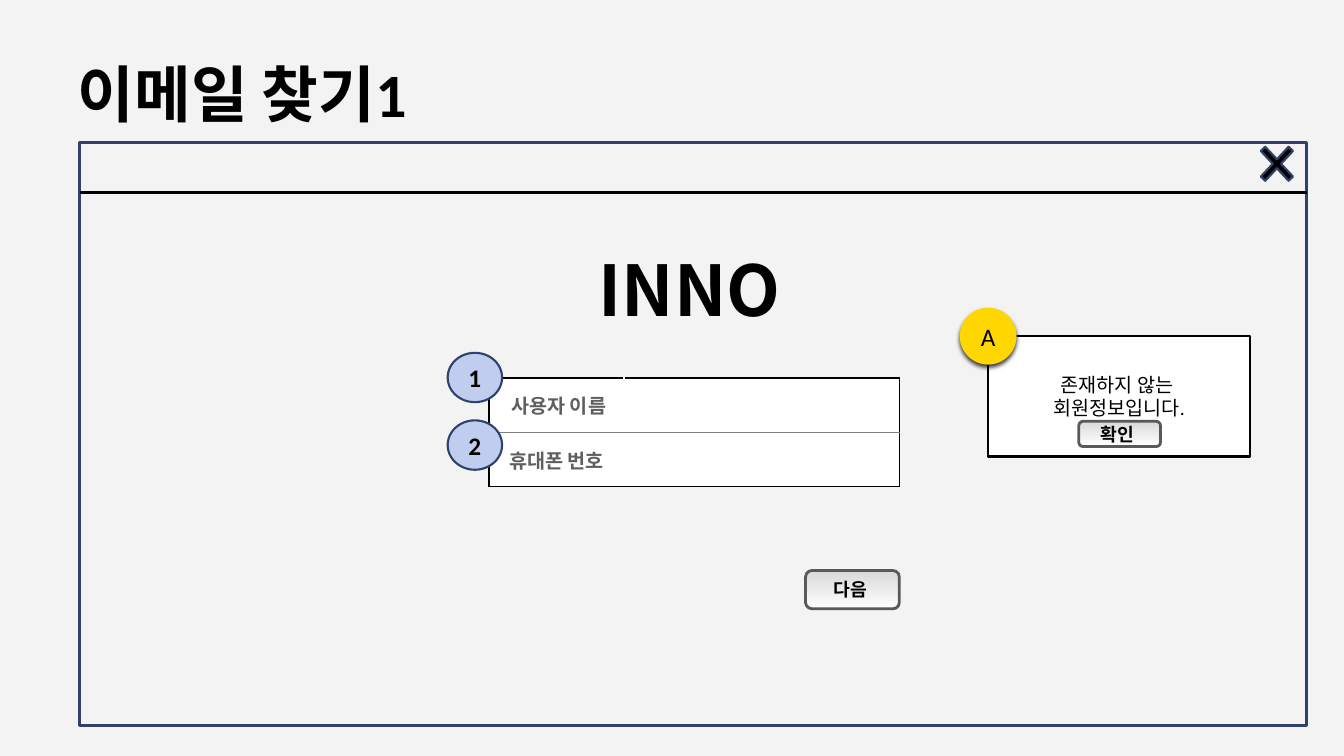
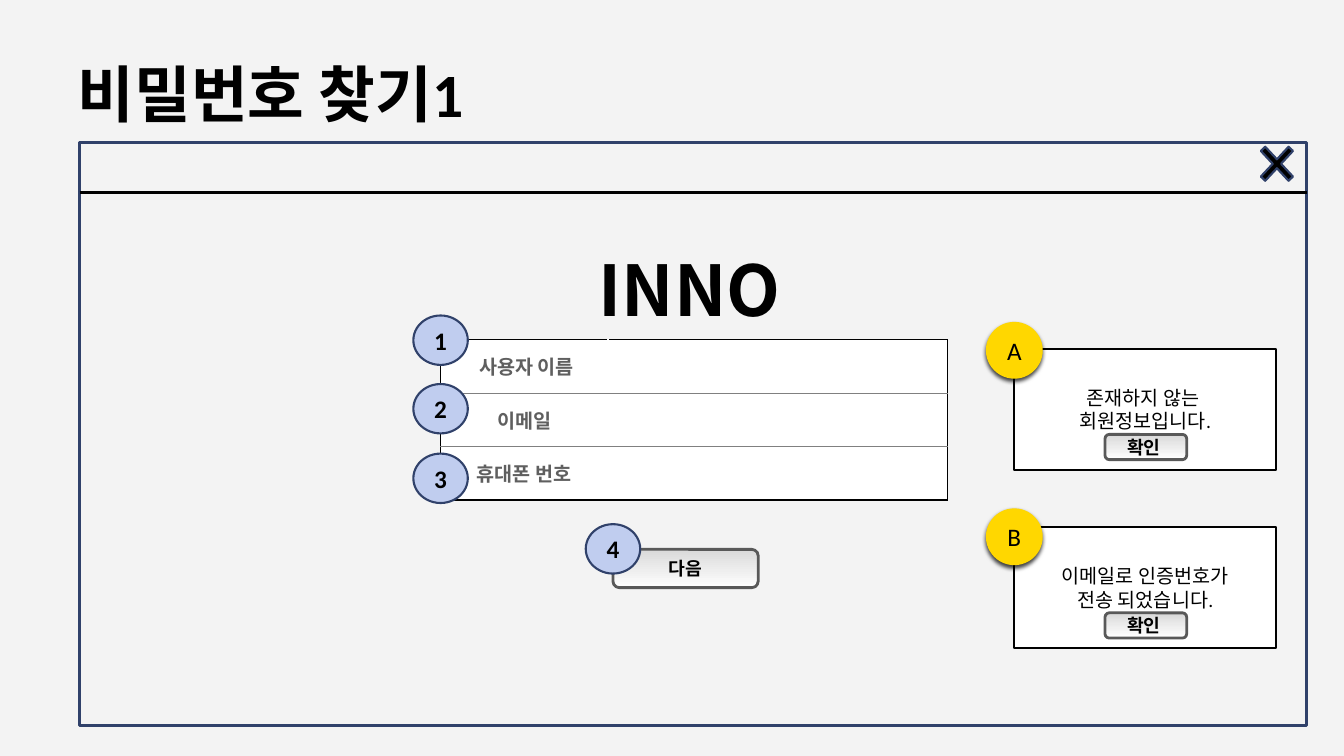
import pptx
import pptx.util
from lxml import etree
from pptx.dml.color import RGBColor
from pptx.enum.shapes import MSO_CONNECTOR, MSO_SHAPE
from pptx.enum.text import MSO_ANCHOR, MSO_AUTO_SIZE, PP_ALIGN
from pptx.oxml.ns import qn

Inches, Pt = pptx.util.Inches, pptx.util.Pt

COLORS = {
    "page": "F3F3F3", "ink": "000000", "white": "FFFFFF", "navy": "30416A",
    "badge": "C0CDEF", "gold": "FFD700", "hint": "5F5F5F", "divider": "808080",
    "button_top": "D9D9D9", "button_line": "595959",
}

# Content: positions are in inches
SCREENS = [
    {
        "title": "이메일 찾기1",
        "form": {"at": (4.85, 3.75), "columns": (1.34, 2.73), "row": 0.54,
                 "labels": [" 사용자 이름", "휴대폰 번호"]},
        "next": ("다음 ", 7.99, 5.66, 0.93),
        "badges": [("1", 4.44, 3.5), ("2", 4.44, 4.17)],
        "dialogs": [
            {"mark": "A", "at": (9.8, 3.33), "mark_top": 3.06,
             "lines": ["존재하지 않는 ", "회원정보입니다."]},
        ],
    },
    {
        "title": "비밀번호 찾기1",
        "form": {"at": (4.37, 3.37), "columns": (1.66, 3.37), "row": 0.53,
                 "labels": [" 사용자 이름", "이메일", "휴대폰 번호"]},
        "next": ("다음", 6.08, 5.45, 1.44),
        "badges": [("1", 4.1, 3.13), ("2", 4.1, 3.81), ("3", 4.1, 4.5),
                   ("4", 5.81, 5.2)],
        "dialogs": [
            {"mark": "A", "at": (10.06, 3.46), "mark_top": 3.2,
             "lines": ["존재하지 않는 ", "회원정보입니다."]},
            {"mark": "B", "at": (10.06, 5.23), "mark_top": 5.05,
             "lines": ["이메일로 인증번호가", "전송 되었습니다."]},
        ],
    },
]
SERVICE_NAME = "INNO"
CONFIRM = "확인 "
WINDOW = (0.79, 1.41, 12.17, 5.79)
TITLE_BAR_Y = 1.91
DIALOG_SIZE = (2.6, 1.2)
CONFIRM_OFFSET = (0.9, 0.85)
MARK_SIZE = 0.55


def rgb(name):
    return RGBColor.from_string(COLORS[name])


def write(frame, lines, size, font="Calibri", color="ink", bold=False,
          align=PP_ALIGN.CENTER, anchor=MSO_ANCHOR.MIDDLE):
    """Fill a text frame with one paragraph per line."""
    frame.word_wrap = True
    frame.vertical_anchor = anchor
    for index, line in enumerate(lines):
        paragraph = frame.paragraphs[0] if index == 0 else frame.add_paragraph()
        paragraph.alignment = align
        run = paragraph.add_run()
        run.text = line
        run.font.size = Pt(size)
        run.font.name = font
        run.font.bold = bold
        run.font.color.rgb = rgb(color)


def add_box(slide, kind, box, line, width, fill=None):
    shape = slide.shapes.add_shape(kind, *map(Inches, box))
    shape.shadow.inherit = False
    shape.line.color.rgb = rgb(line)
    shape.line.width = Pt(width)
    if fill:
        shape.fill.solid()
        shape.fill.fore_color.rgb = rgb(fill)
    else:
        shape.fill.background()
    return shape


def add_window(slide, title):
    """Draw what every screen shares: title, window frame and service name."""
    heading = slide.shapes.title
    heading.left, heading.top, heading.width, heading.height = map(
        Inches, (0.67, 0.3, 12, 1.25))
    write(heading.text_frame, [title], size=44, bold=True, align=PP_ALIGN.LEFT)

    service = slide.shapes.add_textbox(*map(Inches, (5.84, 2.4, 2.08, 0.93)))
    write(service.text_frame, [SERVICE_NAME], size=50, font="Noto Sans CJK KR",
          bold=True, align=PP_ALIGN.LEFT, anchor=MSO_ANCHOR.TOP)
    service.text_frame.auto_size = MSO_AUTO_SIZE.SHAPE_TO_FIT_TEXT

    add_box(slide, MSO_SHAPE.RECTANGLE, WINDOW, "navy", 2)
    left, _, width, _ = WINDOW
    bar = slide.shapes.add_connector(
        MSO_CONNECTOR.STRAIGHT, Inches(left), Inches(TITLE_BAR_Y),
        Inches(left + width), Inches(TITLE_BAR_Y))
    bar.line.color.rgb = rgb("ink")
    bar.line.width = Pt(2)
    etree.SubElement(bar._element.spPr, qn("a:effectLst"))
    close = add_box(slide, MSO_SHAPE.MATH_MULTIPLY, (12.4, 1.34, 0.53, 0.57),
                    "navy", 1.5, "ink")
    close.adjustments[0] = 0.114


def set_border(cell, side, color, width):
    line = etree.SubElement(cell._tc.get_or_add_tcPr(), qn("a:ln" + side),
                            w=str(Pt(width)))
    fill = etree.SubElement(line, qn("a:solidFill"))
    etree.SubElement(fill, qn("a:srgbClr"), val=COLORS[color])


def add_form(slide, form):
    """Input fields: black outline, thin grey lines between the rows."""
    labels, columns, row_height = form["labels"], form["columns"], form["row"]
    size = (sum(columns), row_height * len(labels))
    table = slide.shapes.add_table(
        len(labels), len(columns), *map(Inches, form["at"] + size)).table
    table.first_row = table.horz_banding = False
    for column, width in zip(table.columns, columns):
        column.width = Inches(width)
    outer, inner = ("ink", 1), ("divider", 0.5)
    for index, label in enumerate(labels):
        table.rows[index].height = Inches(row_height)
        label_cell, input_cell = table.cell(index, 0), table.cell(index, 1)
        write(label_cell.text_frame, [label], size=14, font="Karla",
              color="hint", bold=True)
        label_cell.vertical_anchor = MSO_ANCHOR.MIDDLE
        for cell, side in ((label_cell, "L"), (input_cell, "R")):
            set_border(cell, side, *outer)
            set_border(cell, "T", *(outer if index == 0 else inner))
            set_border(cell, "B", *(outer if index == len(labels) - 1 else inner))
            cell.fill.solid()
            cell.fill.fore_color.rgb = rgb("white")


def add_button(slide, label, box):
    button = add_box(slide, MSO_SHAPE.ROUNDED_RECTANGLE, box, "button_line", 2)
    button.fill.gradient()
    button.fill.gradient_angle = 270
    for stop, color in zip(button.fill.gradient_stops, ("button_top", "white")):
        stop.color.rgb = rgb(color)
    button.text_frame.margin_top = button.text_frame.margin_bottom = 0
    write(button.text_frame, [label], size=13, bold=True)


def add_badge(slide, number, left, top):
    badge = add_box(slide, MSO_SHAPE.OVAL, (left, top, 0.54, 0.49),
                    "navy", 1.5, "badge")
    write(badge.text_frame, [number], size=18, bold=True)


def add_dialog(slide, dialog):
    left, top = dialog["at"]
    panel = add_box(slide, MSO_SHAPE.RECTANGLE, dialog["at"] + DIALOG_SIZE,
                    "ink", 1.5, "white")
    write(panel.text_frame, dialog["lines"], size=14)
    across, down = CONFIRM_OFFSET
    add_button(slide, CONFIRM, (left + across, top + down, 0.81, 0.25))

    # Round marker centred on the left edge, with a soft shadow below
    mark = add_box(slide, MSO_SHAPE.OVAL,
                   (left - MARK_SIZE / 2, dialog["mark_top"], MARK_SIZE, MARK_SIZE),
                   "gold", 1, "gold")
    write(mark.text_frame, [dialog["mark"]], size=18)
    effects = mark._element.spPr.find(qn("a:effectLst"))
    shadow = etree.SubElement(effects, qn("a:outerShdw"), blurRad=str(Pt(3)),
                              dist=str(Pt(2)), dir="5400000", rotWithShape="0")
    tint = etree.SubElement(shadow, qn("a:srgbClr"), val=COLORS["ink"])
    etree.SubElement(tint, qn("a:alpha"), val="75000")


def main():
    deck = pptx.Presentation()
    deck.slide_width, deck.slide_height = Inches(13.33), Inches(7.5)
    background = deck.slide_master.background.fill
    background.solid()
    background.fore_color.rgb = rgb("page")
    for screen in SCREENS:
        slide = deck.slides.add_slide(deck.slide_layouts[5])
        add_window(slide, screen["title"])
        add_form(slide, screen["form"])
        label, left, top, width = screen["next"]
        add_button(slide, label, (left, top, width, 0.38))
        for badge in screen["badges"]:
            add_badge(slide, *badge)
        for dialog in screen["dialogs"]:
            add_dialog(slide, dialog)
    deck.save("out.pptx")


if __name__ == "__main__":
    main()
